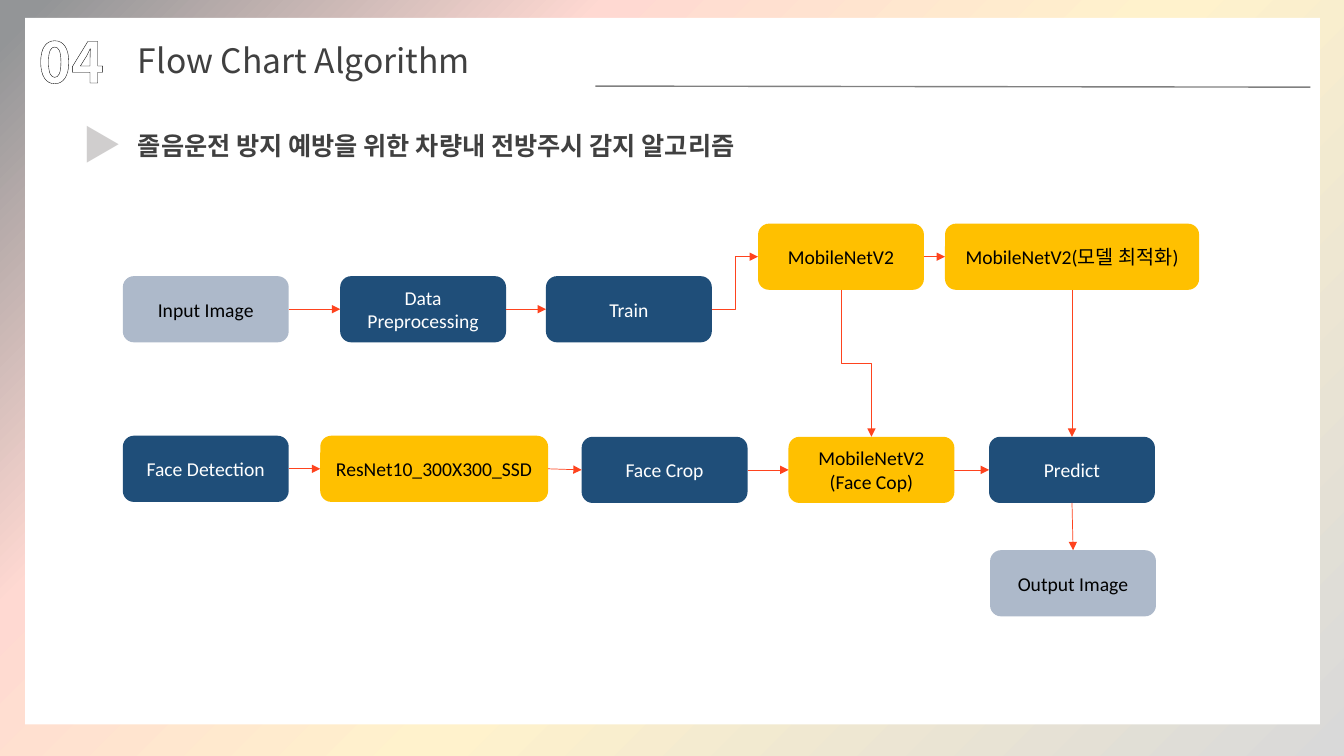
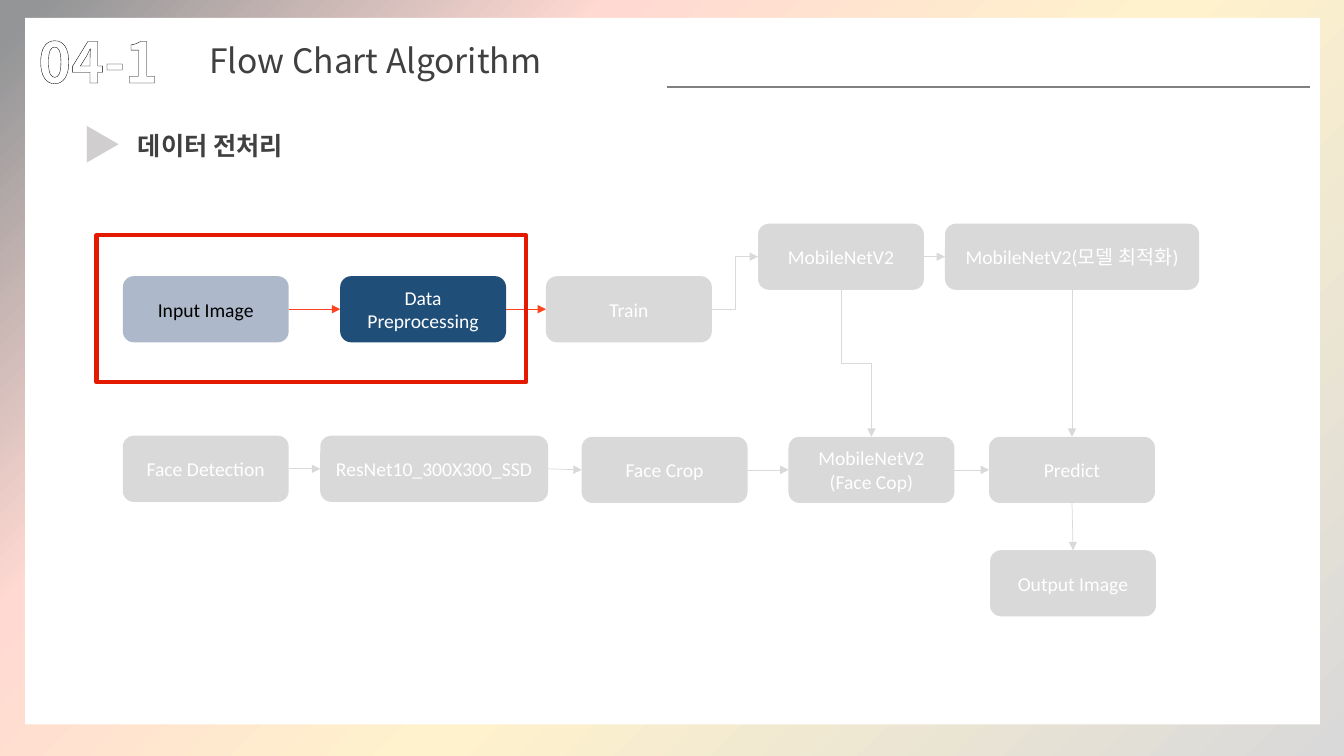
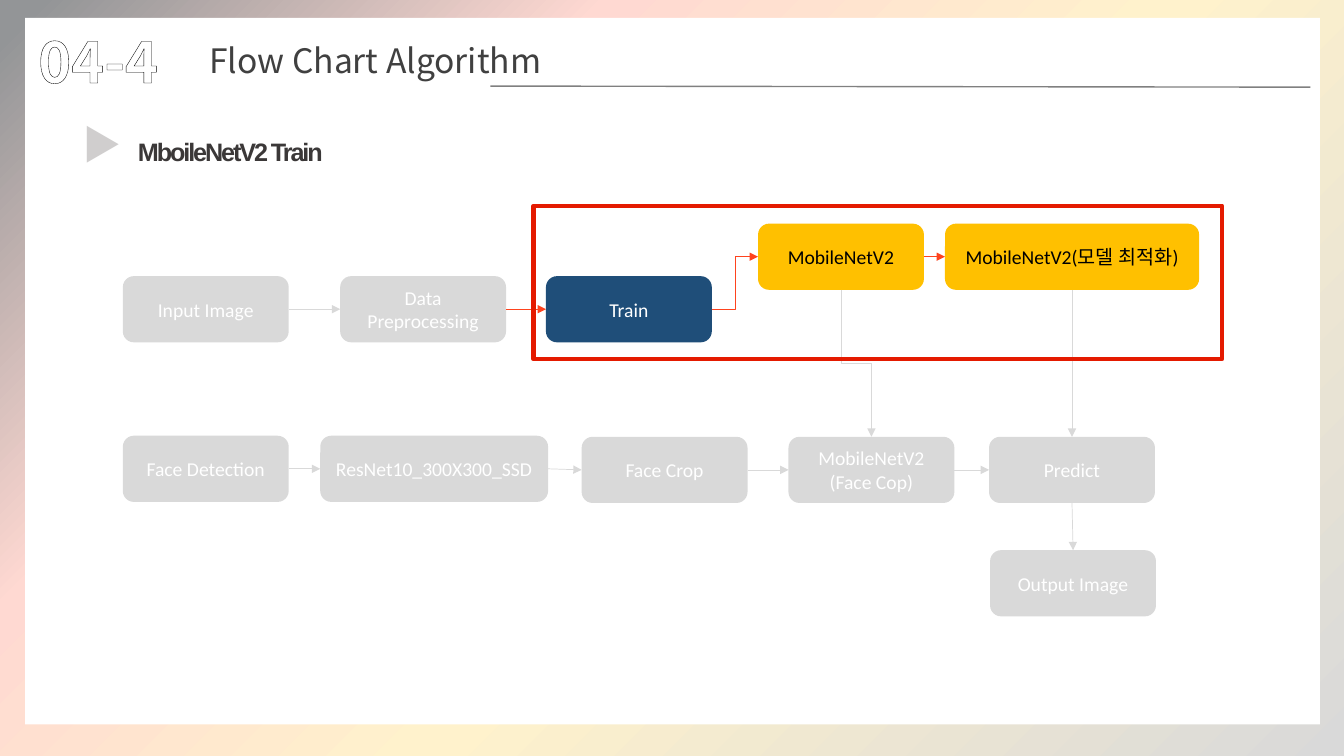
from dataclasses import dataclass

from lxml.etree import SubElement
from pptx import Presentation
from pptx.dml.color import RGBColor
from pptx.enum.dml import MSO_PATTERN as Pattern
from pptx.enum.shapes import MSO_CONNECTOR as Link, MSO_SHAPE as Shape
from pptx.enum.text import MSO_ANCHOR as Anchor, MSO_AUTO_SIZE as AutoSize, PP_ALIGN as Align
from pptx.oxml import parse_xml
from pptx.oxml.ns import nsdecls, qn
from pptx.util import Emu, Pt

SCALE = 9525


def px(length):
    return Emu(round(length * SCALE))


@dataclass(frozen=True)
class Theme:
    panel: str = "FFFFFF"
    ink: str = "404040"
    dark_ink: str = "3B3838"
    black: str = "000000"
    white: str = "FFFFFF"
    rule: str = "808080"
    data: str = "ADB9CA"
    process: str = "1F4E79"
    model: str = "FFC000"
    faded: str = "D9D9D9"
    arrow: str = "FE431E"
    frame: str = "E41A00"
    marker: str = "939597"
    marker_back: str = "D0CECE"
    backdrop: tuple = ((0, "D9D9D9"), (44, "FFF2CC"), (71, "FFD9D2"), (98, "939597"))
    heading_font: str = "Noto Sans CJK KR"
    subtitle_font: str = "Arial"
    label_font: str = "Calibri"
    number_size: int = 40
    marker_size: int = 28
    title_size: int = 24
    subtitle_size: int = 18
    label_size: int = 14


@dataclass(frozen=True)
class Box:
    x: int
    y: int
    width: int
    height: int

    def inner(self, x, y, width, height):
        return Box(self.x + x, self.y + y, width, height)

    def emu(self):
        return px(self.x), px(self.y), px(self.width), px(self.height)


@dataclass(frozen=True)
class Topic:
    number: str
    number_width: int
    title_x: int
    rule_x: int
    rule_rise: int
    subtitle: str
    tight: bool = False
    nodes: tuple = ()
    arrows: tuple = ()
    frame: tuple = ()


THEME = Theme()
PAGE = Box(0, 0, 1280, 720)
PANEL = Box(24, 17, 1233, 673)
HEADER = Box(27, 21, 1221, 75)
SUBTITLE = Box(69, 110, 1144, 55)
FLOW = Box(117, 213, 1025, 374)
NODE_WIDTH, NODE_HEIGHT = 158, 63
TOP, LEFT, BOTTOM, RIGHT = range(4)

NODES = {
    "input": ("Input Image", "data", 0, 50, NODE_WIDTH),
    "prepare": ("Data Preprocessing", "process", 207, 50, NODE_WIDTH),
    "train": ("Train", "process", 403, 50, NODE_WIDTH),
    "network": ("MobileNetV2", "model", 605, 0, NODE_WIDTH),
    "optimized": ("MobileNetV2(모델 최적화)", "model", 783, 0, 242),
    "detect": ("Face Detection", "process", 0, 202, NODE_WIDTH),
    "detector": ("ResNet10_300X300_SSD", "model", 188, 202, 217),
    "crop": ("Face Crop", "process", 437, 203, NODE_WIDTH),
    "face_network": ("MobileNetV2\v(Face Cop)", "model", 634, 203, NODE_WIDTH),
    "predict": ("Predict", "process", 825, 203, NODE_WIDTH),
    "output": ("Output Image", "data", 826, 311, NODE_WIDTH),
}

ARROWS = {
    ("input", "prepare"): "across",
    ("prepare", "train"): "across",
    ("train", "network"): "step",
    ("network", "optimized"): "across",
    ("detect", "detector"): "across",
    ("detector", "crop"): "across",
    ("crop", "face_network"): "across",
    ("face_network", "predict"): "across",
    ("network", "face_network"): "drop",
    ("optimized", "predict"): "down",
    ("predict", "output"): "down",
}

TOPICS = (
    Topic("04", 95, 95, 540, 1, "졸음운전 방지 예방을 위한 차량내 전방주시 감지 알고리즘",
          nodes=tuple(NODES), arrows=tuple(ARROWS)),
    Topic("04-1", 170, 163, 608, 0, "데이터 전처리",
          nodes=("input", "prepare"),
          arrows=(("input", "prepare"), ("prepare", "train")),
          frame=(-25, 11, 409, 140)),
    Topic("04-4", 170, 163, 440, 1, "MboileNetV2 Train", tight=True,
          nodes=("train", "network", "optimized"),
          arrows=(("prepare", "train"), ("train", "network"), ("network", "optimized")),
          frame=(391, -17, 656, 146)),
)


def rgb(color):
    return RGBColor.from_string(color)


def style(para, name, size, color=None, bold=False):
    font = para.font
    font.name, font.size, font.bold = name, Pt(size), bold
    if color:
        font.color.rgb = rgb(color)
    SubElement(font._element, qn("a:ea"), typeface=THEME.heading_font)


def add_text(page, box, text, name, size, color=None, bold=False, wrap=True):
    frame = page.shapes.add_textbox(*box.emu()).text_frame
    frame.word_wrap = wrap
    frame.auto_size = AutoSize.SHAPE_TO_FIT_TEXT
    para = frame.paragraphs[0]
    span = para.add_run()
    span.text = text
    style(para, name, size, color, bold)
    return para, span


def hatch(span, fore, back, outline, points):
    fill = span.font.fill
    fill.patterned()
    fill.pattern = Pattern.DARK_UPWARD_DIAGONAL
    fill.fore_color.rgb = rgb(fore)
    fill.back_color.rgb = rgb(back)
    span.font._element.insert(0, parse_xml(
        f'<a:ln {nsdecls("a")} w="{Pt(points)}"><a:solidFill>'
        f'<a:srgbClr val="{outline}"/></a:solidFill></a:ln>'))


def add_shape(page, kind, box, fill=None, line=None, points=0):
    shape = page.shapes.add_shape(kind, *box.emu())
    shape.shadow.inherit = False
    for paint, color in ((shape.fill, fill), (shape.line.fill, line)):
        if color:
            paint.solid()
            paint.fore_color.rgb = rgb(color)
        else:
            paint.background()
    if line:
        shape.line.width = Pt(points)
    return shape


def add_line(page, kind, start, end, color, points):
    line = page.shapes.add_connector(kind, *map(px, start + end))
    line.line.color.rgb = rgb(color)
    line.line.width = Pt(points)
    SubElement(line._element.spPr, qn("a:effectLst"))
    return line


def add_backdrop(page):
    page.background.fill.solid()
    stops = "".join(f'<a:gs pos="{place * 1000}"><a:srgbClr val="{color}"/></a:gs>'
                    for place, color in THEME.backdrop)
    gradient = parse_xml(
        f'<a:gradFill {nsdecls("a")} rotWithShape="1"><a:gsLst>{stops}</a:gsLst>'
        '<a:path path="circle"><a:fillToRect l="100000" t="100000"/></a:path>'
        '<a:tileRect r="-100000" b="-100000"/></a:gradFill>')
    solid = next(page._element.iter(qn("a:solidFill")))
    solid.getparent().replace(solid, gradient)
    add_shape(page, Shape.RECTANGLE, PANEL, THEME.panel)


def add_header(page, box, topic):
    _, number = add_text(page, box.inner(0, 0, topic.number_width, 74), topic.number,
                         THEME.heading_font, THEME.number_size, bold=True)
    hatch(number, THEME.dark_ink, THEME.white, THEME.black, 1.25)
    add_text(page, box.inner(topic.title_x, 12, 445, 48), "Flow Chart Algorithm",
             THEME.heading_font, THEME.title_size, THEME.ink, wrap=False)
    level = box.y + 62
    add_line(page, Link.STRAIGHT, (box.x + topic.rule_x, level - topic.rule_rise),
             (box.x + box.width, level), THEME.rule, 1)


def add_subtitle(page, box, topic):
    _, marker = add_text(page, box.inner(0, 0, 53, 55), "▶",
                         THEME.heading_font, THEME.marker_size, bold=True)
    hatch(marker, THEME.marker, THEME.marker_back, THEME.marker, 1)
    top, height, color = (1, 48, THEME.dark_ink) if topic.tight else (9, 38, THEME.ink)
    para, span = add_text(page, box.inner(53, top, 1091, height), topic.subtitle,
                          THEME.subtitle_font, THEME.subtitle_size, color, bold=True)
    if topic.tight:
        para.line_spacing = 1.5
        span.font._element.set("spc", "-150")


def add_node(page, box, label, role, lit):
    fill = getattr(THEME, role) if lit else THEME.faded
    ink = THEME.black if lit and role != "process" else THEME.white
    node = add_shape(page, Shape.ROUNDED_RECTANGLE, box, fill)
    frame = node.text_frame
    frame.word_wrap = True
    frame.vertical_anchor = Anchor.MIDDLE
    para = frame.paragraphs[0]
    para.text = label
    para.alignment = Align.CENTER
    style(para, THEME.label_font, THEME.label_size, ink)
    return node


def add_arrow(page, start, end, route, lit):
    kind = Link.ELBOW if route in ("step", "drop") else Link.STRAIGHT
    sites = (BOTTOM, TOP) if route in ("drop", "down") else (RIGHT, LEFT)
    arrow = add_line(page, kind, (0, 0), (0, 0), THEME.arrow if lit else THEME.faded, 0.5)
    arrow.begin_connect(start, sites[0])
    arrow.end_connect(end, sites[1])
    if route == "drop":
        turn_down(arrow)
    SubElement(arrow._element.spPr.find(qn("a:ln")), qn("a:tailEnd"), type="triangle")


def turn_down(arrow):
    left, top, width, height = arrow.left, arrow.top, arrow.width, arrow.height
    arrow.left = Emu(left + (width - height) // 2)
    arrow.top = Emu(top + (height - width) // 2)
    arrow.width, arrow.height = height, width
    frame = arrow._element.spPr.find(qn("a:xfrm"))
    frame.set("rot", str(270 * 60000))
    frame.set("flipH", "1")


def add_flow(page, box, topic):
    placed = {
        key: add_node(page, box.inner(x, y, width, NODE_HEIGHT), label, role, key in topic.nodes)
        for key, (label, role, x, y, width) in NODES.items()
    }
    for ends, route in ARROWS.items():
        start, end = ends
        add_arrow(page, placed[start], placed[end], route, ends in topic.arrows)
    if topic.frame:
        add_shape(page, Shape.RECTANGLE, box.inner(*topic.frame), line=THEME.frame, points=3)


def add_topic_page(deck, topic):
    page = deck.slides.add_slide(deck.slide_layouts[6])
    add_backdrop(page)
    add_header(page, HEADER, topic)
    add_subtitle(page, SUBTITLE, topic)
    add_flow(page, FLOW, topic)


def main():
    deck = Presentation()
    deck.slide_width, deck.slide_height = px(PAGE.width), px(PAGE.height)
    for topic in TOPICS:
        add_topic_page(deck, topic)
    deck.save("out.pptx")


if __name__ == "__main__":
    main()
